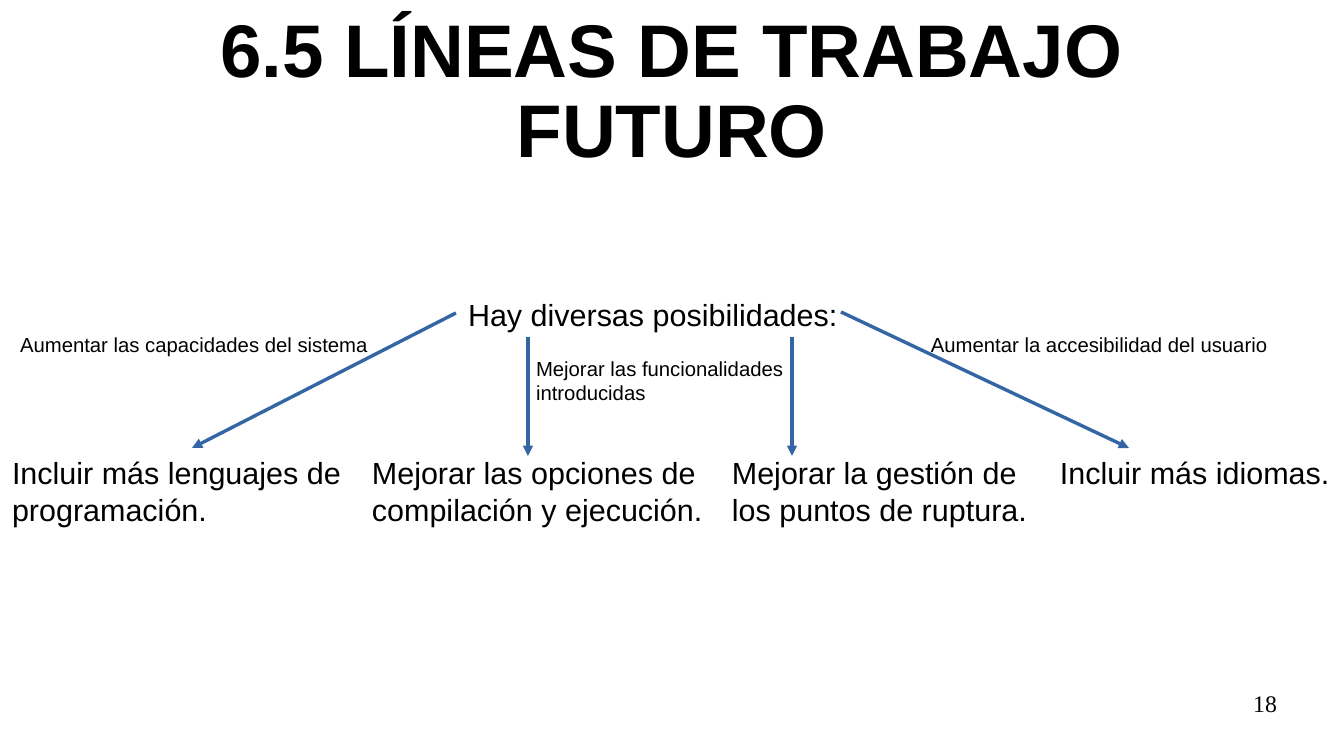
from lxml import etree
from pptx import Presentation
from pptx.dml.color import RGBColor
from pptx.enum import shapes, text
from pptx.oxml.ns import qn
from pptx import util as u

PX = 914400 / 122
COLORS = {"text": "000000", "arrow": "3465A4"}
BODY = {"name": "Arial", "size": u.Pt(18)}
LABEL = {"name": "Arial", "size": u.Pt(12)}
TITLE = {"name": "Arial", "size": u.Pt(44), "bold": True}
NUMBER = {"name": "Times New Roman", "size": u.Pt(14)}
ALIGN = text.PP_ALIGN

# left, top, width, height, wording, font
BRANCHES = [
    (0, 448, 360, 81, "Incluir más lenguajes de programación.", BODY),
    (360, 448, 368, 81, "Mejorar las opciones de compilación y ejecución.", BODY),
    (720, 448, 337, 81, "Mejorar la gestión de los puntos de ruptura.", BODY),
    (1048, 448, 296, 46, "Incluir más idiomas.", BODY),
    (8, 326, 374, 35, "Aumentar las capacidades del sistema", LABEL),
    (524, 350, 292, 57, "Mejorar las funcionalidades introducidas", LABEL),
    (919, 326, 363, 35, "Aumentar la accesibilidad del usuario", LABEL),
]
# start x, start y, end x, end y
ARROWS = [
    (528, 337, 528, 456),
    (792, 337, 792, 456),
    (841, 312, 1129, 448),
]


def px(*lengths):
    return [u.Emu(round(n * PX)) for n in lengths]


def fill_text(tf, wording, font, align=ALIGN.LEFT, inset=(12, 6)):
    tf.word_wrap = True
    tf.auto_size = text.MSO_AUTO_SIZE.NONE
    dx, dy = px(*inset)
    tf.margin_left = tf.margin_right = dx
    tf.margin_top = tf.margin_bottom = dy
    p = tf.paragraphs[0]
    p.alignment = align
    r = p.add_run()
    r.text = wording
    for name, value in font.items():
        setattr(r.font, name, value)
    r.font.color.rgb = RGBColor.from_string(COLORS["text"])


def add_text(slide, left, top, width, height, wording, font, **layout):
    sp = slide.shapes.add_textbox(*px(left, top, width, height))
    fill_text(sp.text_frame, wording, font, **layout)
    return sp


def add_title(slide, wording):
    sp = slide.shapes.title
    sp.left, sp.top, sp.width, sp.height = px(67, 10, 1210, 167)
    tf = sp.text_frame
    fill_text(tf, wording, TITLE, align=ALIGN.CENTER, inset=(0, 0))
    tf.vertical_anchor = text.MSO_ANCHOR.MIDDLE
    tf.paragraphs[0].line_spacing = 0.9


def add_arrow(slide, *ends):
    """Draw a hairline with a triangle at its far end."""
    line = slide.shapes.add_connector(shapes.MSO_CONNECTOR.STRAIGHT, *px(*ends))
    line.line.color.rgb = RGBColor.from_string(COLORS["arrow"])
    line.line.width = u.Pt(0)
    etree.SubElement(line.line._get_or_add_ln(), qn("a:tailEnd"), type="triangle")
    etree.SubElement(line._element.spPr, qn("a:effectLst"))
    return line


def main():
    prs = Presentation()
    prs.slide_width, prs.slide_height = px(1344, 756)
    slide = prs.slides.add_slide(prs.slide_layouts[5])
    add_title(slide, "6.5 LÍNEAS DE TRABAJO FUTURO")
    root = add_text(slide, 456, 290, 409, 46, "Hay diversas posibilidades:", BODY)
    add_arrow(slide, 456, 313, 192, 448).begin_connect(root, 1)
    for ends in ARROWS:
        add_arrow(slide, *ends)
    for branch in BRANCHES:
        add_text(slide, *branch)
    add_text(slide, 964, 689, 313, 52, "18", NUMBER, align=ALIGN.RIGHT, inset=(0, 0))
    prs.save("out.pptx")


if __name__ == "__main__":
    main()
